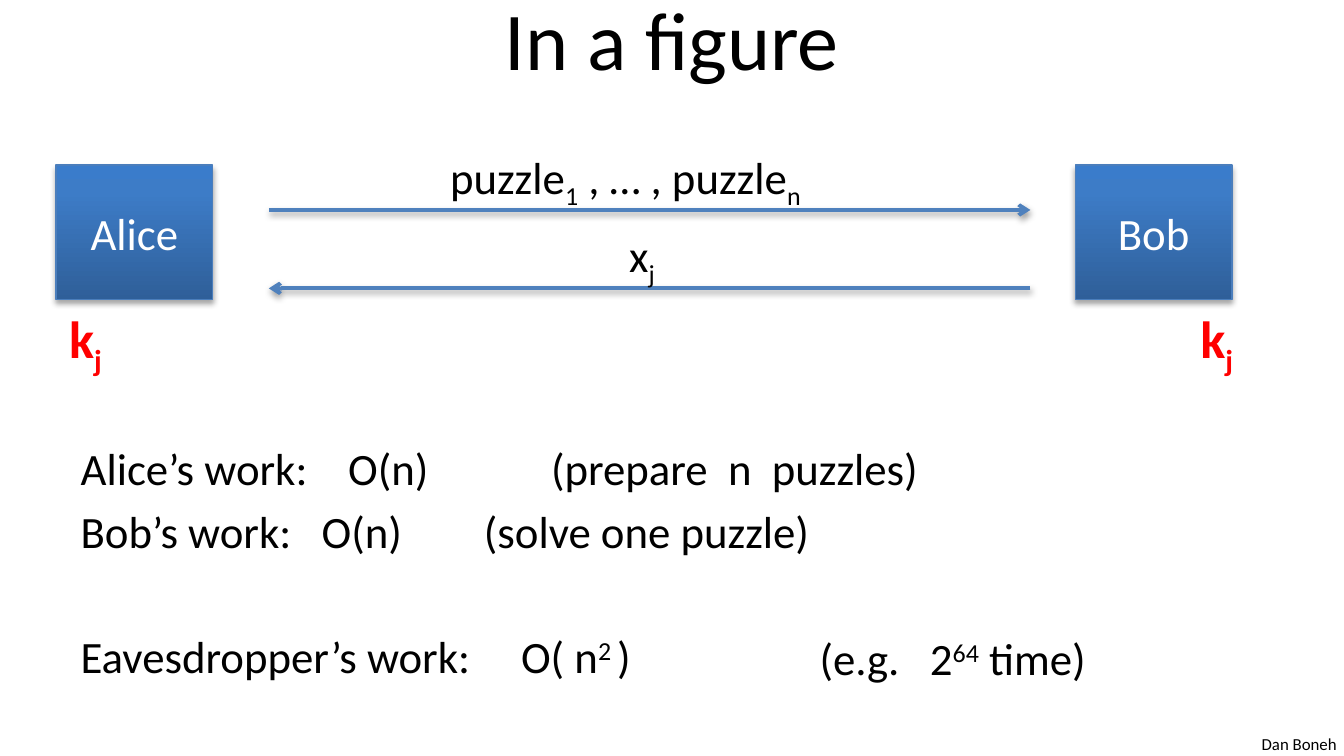
import copy

import pptx
import pptx.dml.color
import pptx.enum.shapes
import pptx.enum.text
import pptx.oxml
import pptx.oxml.ns
import pptx.util

COLORS = {
    "text": "000000", "key": "FF0000", "box_text": "FFFFFF",
    "box_low": "2F5F99", "box_mid": "3D7CC7", "box_top": "3A7CCB",
    "box_line": "4B7EBC", "arrow": "4F81BD",
}
FONT = "Calibri"
CELLS_PER_INCH = 12  # grid of 120 columns by 67.5 rows
SUB, SUP = -25000, 30000

qn = pptx.oxml.ns.qn
Pt = pptx.util.Pt
PP_ALIGN = pptx.enum.text.PP_ALIGN
ANCHOR = pptx.enum.text.MSO_ANCHOR
AUTO_SIZE = pptx.enum.text.MSO_AUTO_SIZE


def grid(*cells):
    return [pptx.util.Inches(c / CELLS_PER_INCH) for c in cells]


def rgb(name):
    return pptx.dml.color.RGBColor.from_string(COLORS[name])


def gap(points):
    """One space widened by character spacing."""
    return (" ", 0, points)


def sub_element(parent, tag, **attrs):
    el = parent.makeelement(qn(tag), {k: str(v) for k, v in attrs.items()})
    parent.append(el)
    return el


class SlideBuilder:
    def __init__(self, prs):
        self.s = prs.slides.add_slide(prs.slide_layouts[1])

    def runs(self, p, parts, size=24, color="text", bold=False):
        """Add (text, baseline[, character spacing]) parts to a paragraph."""
        for text, baseline, *spacing in parts:
            r = p.add_run()
            r.text = text
            r.font.name, r.font.size, r.font.bold = FONT, Pt(size), bold
            r.font.color.rgb = rgb(color)
            rPr = r._r.get_or_add_rPr()
            if baseline:
                rPr.set("baseline", str(baseline))
            if spacing:
                rPr.set("spc", str(round(spacing[0] * 100)))

    def shadow(self, effects, alpha, dist):
        shadow = sub_element(effects, "a:outerShdw", blurRad=Pt(3.1), dist=Pt(dist),
                             dir=5400000, rotWithShape=0)
        color = sub_element(shadow, "a:srgbClr", val=COLORS["text"])
        sub_element(color, "a:alpha", val=alpha * 1000)

    def place(self, ph, x, y, w, h, anchor):
        ph.left, ph.top, ph.width, ph.height = grid(x, y, w, h)
        tf = ph.text_frame
        tf.auto_size, tf.vertical_anchor = AUTO_SIZE.NONE, anchor
        return tf

    def title(self, text, *at):
        tf = self.place(self.s.shapes.title, *at, ANCHOR.MIDDLE)
        p = tf.paragraphs[0]
        p.alignment = PP_ALIGN.CENTER
        self.runs(p, [(text, 0)], size=44)

    def body(self, rows, *at):
        tf = self.place(self.s.placeholders[1], *at, ANCHOR.TOP)
        for i, (before, *parts) in enumerate(rows):
            p = tf.add_paragraph() if i else tf.paragraphs[0]
            p.space_before = Pt(before)
            pPr = p._p.get_or_add_pPr()
            pPr.set("marL", "0")
            pPr.set("indent", "0")
            sub_element(pPr, "a:buNone")
            self.runs(p, parts)

    def label(self, parts, x, y, w, h, **style):
        tf = self.s.shapes.add_textbox(*grid(x, y, w, h)).text_frame
        tf.word_wrap, tf.auto_size = False, AUTO_SIZE.SHAPE_TO_FIT_TEXT
        self.runs(tf.paragraphs[0], parts, **style)
        return tf

    def footer(self, text, *at):
        tf = self.label([(text, 0)], *at, size=9)
        tf.auto_size = AUTO_SIZE.NONE
        tf.margin_left = tf.margin_right = tf.margin_top = tf.margin_bottom = 0

    def party(self, name, x, y, w, h):
        sp = self.s.shapes.add_shape(pptx.enum.shapes.MSO_SHAPE.RECTANGLE, *grid(x, y, w, h))
        sp.fill.gradient()
        sp.fill.gradient_angle = 90
        spPr = sp._element.spPr
        gs_list = spPr.find(".//" + qn("a:gsLst"))
        gs_list.append(copy.deepcopy(gs_list[-1]))
        stops = [(0, "box_low"), (0.8, "box_mid"), (1, "box_top")]
        for gs, (position, color) in zip(sp.fill.gradient_stops, stops):
            gs.position, gs.color.rgb = position, rgb(color)
        sp.line.color.rgb, sp.line.width = rgb("box_line"), Pt(0.75)
        sp.shadow.inherit = False
        self.shadow(spPr.find(qn("a:effectLst")), 35, 1.8)
        tf = sp.text_frame
        tf.vertical_anchor = ANCHOR.MIDDLE
        p = tf.paragraphs[0]
        p.alignment = PP_ALIGN.CENTER
        self.runs(p, [(name, 0)], color="box_text")

    def arrow(self, x1, x2, y):
        cx = self.s.shapes.add_connector(pptx.enum.shapes.MSO_CONNECTOR.STRAIGHT,
                                         *grid(x1, y, x2, y))
        cx.line.color.rgb, cx.line.width = rgb("arrow"), Pt(2)
        sub_element(cx.line._get_or_add_ln(), "a:tailEnd", type="arrow")
        self.shadow(sub_element(cx._element.spPr, "a:effectLst"), 38, 1.6)


def main():
    prs = pptx.Presentation()
    prs.slide_width, prs.slide_height = grid(120, 67.5)
    b = SlideBuilder(prs)

    # Title and footer
    b.title("In a figure", 6, -2.25, 108, 11.25)
    b.footer("Dan Boneh", 112.65, 65.5, 7.3, 2)

    # Work of each party
    b.body([
        (0, ("Alice’s work:", 0), gap(16.3), ("O(n)\t\t(prepare", 0), gap(5.4),
         ("n", 0), gap(5.4), ("puzzles)", 0)),
        (4.8, ("Bob’s work:", 0), gap(10.8), ("O(n)\t\t(solve one puzzle)", 0)),
        (38.5, ("Eavesdropper’s work:", 0), gap(21.7), ("O( n", 0), ("2 ", SUP), (")", 0)),
    ], 6, 38.75, 108, 24)
    b.label([("(e.g.", 0), gap(10.8), ("2", 0), ("64", SUP), (" time)", 0)], 72, 55.75, 27, 6)

    # Parties and their shared key
    for name, box_x, key_x in (("Bob", 96, 106), ("Alice", 5, 5)):
        b.party(name, box_x, 14.75, 14, 12)
        b.label([("k", 0), ("j", SUB)], key_x, 26.75, 5.5, 6.75,
                size=28, color="key", bold=True)

    # Messages
    b.arrow(24, 92, 18.75)
    b.arrow(92, 24, 25.75)
    b.label([("puzzle", 0), ("1", SUB), (" , … , puzzle", 0), ("n", SUB)], 39, 12.75, 34.5, 6)
    b.label([("x", 0), ("j", SUB)], 55, 19.75, 4.75, 6)

    prs.save("out.pptx")


if __name__ == "__main__":
    main()
